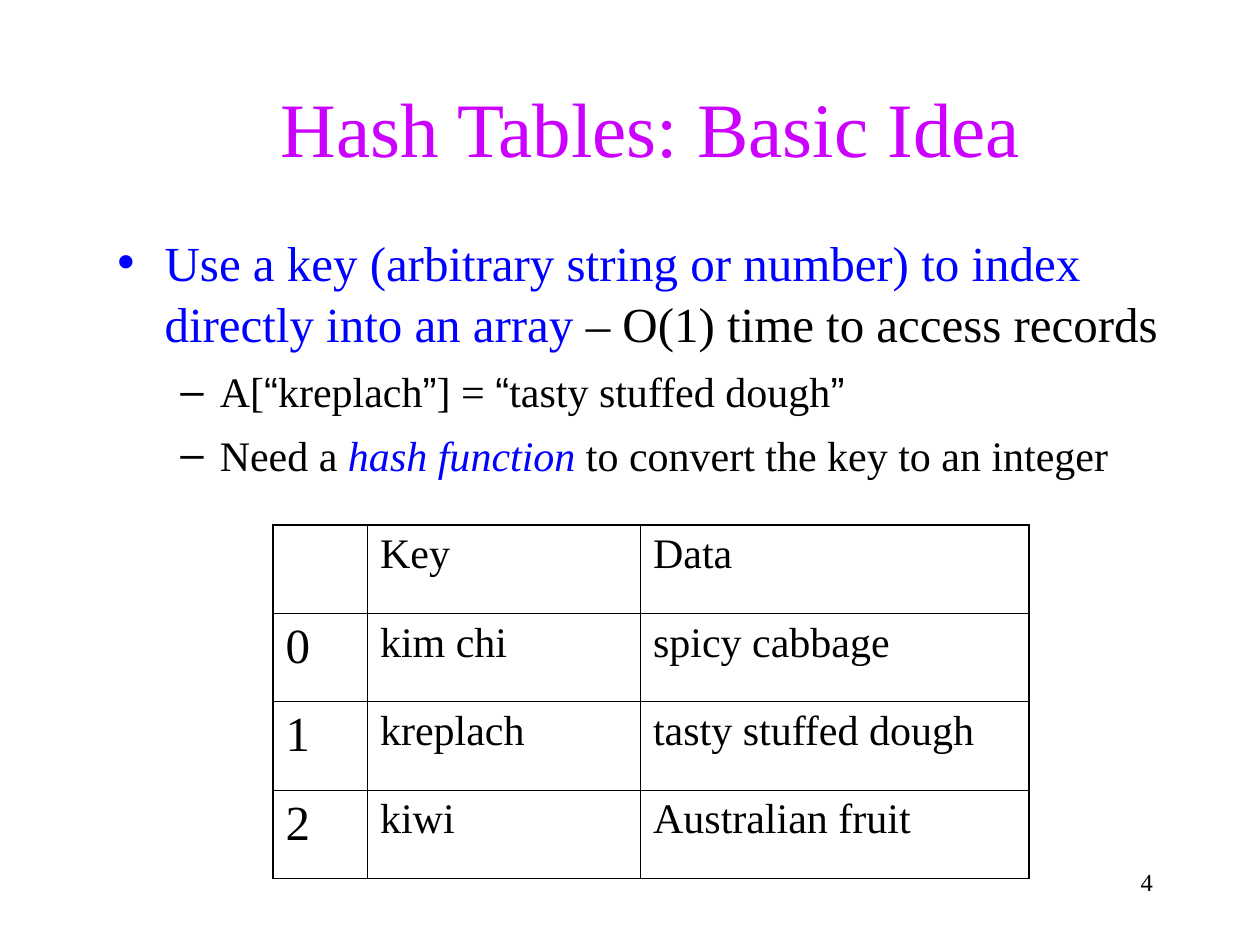
from lxml import etree
from pptx import Presentation
from pptx.dml.color import RGBColor
from pptx.enum.text import MSO_ANCHOR, MSO_AUTO_SIZE, PP_ALIGN
from pptx.oxml.ns import qn
from pptx.util import Pt

LEFT, CENTER, RIGHT = PP_ALIGN.LEFT, PP_ALIGN.CENTER, PP_ALIGN.RIGHT
TOP, MIDDLE = MSO_ANCHOR.TOP, MSO_ANCHOR.MIDDLE
FIXED = MSO_AUTO_SIZE.NONE

BLACK = RGBColor(0, 0, 0)
BLUE = RGBColor(0, 0, 255)
PURPLE = RGBColor(0xCC, 0, 0xFF)
SERIF, SANS = "Times New Roman", "Arial"

TITLE = "Hash Tables: Basic Idea"
PAGE = "4"
OPEN, CLOSE = ("“", {"face": SANS}), ("”", {"face": SANS})
POINTS = [
    (0, [("Use a key (arbitrary string or number) to index directly into an array",
          {"color": BLUE}),
         " – O(1) time to access records"]),
    (1, ["A[", OPEN, "kreplach", CLOSE, "] = ",
         OPEN, "tasty stuffed dough", CLOSE]),
    (1, ["Need a ", ("hash function", {"color": BLUE, "slant": True}),
         " to convert the key to an integer"]),
]
LEVELS = [
    {"size": 28, "bullet": ("•", BLUE), "indent": 27, "hang": 27},
    {"size": 24, "bullet": ("–", BLACK), "indent": 58.5, "hang": 22.5, "before": 6},
]
ROWS = [
    ["", "Key", "Data"],
    ["0", "kim chi", "spicy cabbage"],
    ["1", "kreplach", "tasty stuffed dough"],
    ["2", "kiwi", "Australian fruit"],
]
COLS = [54, 156, 222]
ROW = 50.5
THICK, THIN = 1.08, 0.45


def write(para, parts, size=24, color=BLACK, face=SERIF, slant=None,
          align=LEFT, before=0, spacing=None, bullet=None, indent=0, hang=0):
    para.alignment = align
    para.space_before = Pt(before)
    if spacing:
        para.line_spacing = spacing
    if bullet:
        mark, tint = bullet
        props = para._p.get_or_add_pPr()
        props.set("marL", str(Pt(indent)))
        props.set("indent", str(-Pt(hang)))
        fill = etree.SubElement(props, qn("a:buClr"))
        etree.SubElement(fill, qn("a:srgbClr"), val=str(tint))
        etree.SubElement(props, qn("a:buFont"), typeface=SANS)
        etree.SubElement(props, qn("a:buChar"), char=mark)
    for part in [parts] if isinstance(parts, str) else parts:
        words, own = (part, {}) if isinstance(part, str) else part
        look = {"color": color, "face": face, "slant": slant, **own}
        run = para.add_run()
        run.text = words
        run.font.size = Pt(size)
        run.font.name = look["face"]
        run.font.color.rgb = look["color"]
        run.font.italic = look["slant"]


def place(shape, left, top, width, height, anchor=TOP, inset=3.6):
    shape.left, shape.top = Pt(left), Pt(top)
    shape.width, shape.height = Pt(width), Pt(height)
    frame = shape.text_frame
    frame.word_wrap = True
    frame.auto_size = FIXED
    frame.vertical_anchor = anchor
    frame.margin_top = Pt(inset)
    return frame


def border(cell, row, col):
    outer = {"L": col == 0, "R": col == len(COLS) - 1,
             "T": row == 0, "B": row == len(ROWS) - 1}
    props = cell._tc.get_or_add_tcPr()
    for side, edge in outer.items():
        line = etree.SubElement(props, qn("a:ln" + side),
                                w=str(Pt(THICK if edge else THIN)))
        fill = etree.SubElement(line, qn("a:solidFill"))
        etree.SubElement(fill, qn("a:srgbClr"), val=str(BLACK))


def main():
    deck = Presentation()
    deck.slide_width, deck.slide_height = Pt(720), Pt(540)
    slide = deck.slides.add_slide(deck.slide_layouts[5])
    shapes = slide.shapes

    frame = place(shapes.title, 66, 24, 612, 90, anchor=MIDDLE, inset=10.8)
    write(frame.paragraphs[0], TITLE, size=44, color=PURPLE, align=CENTER)

    frame = place(shapes.add_textbox(0, 0, 0, 0), 60, 126, 612, 324, inset=5)
    for i, (level, parts) in enumerate(POINTS):
        para = frame.add_paragraph() if i else frame.paragraphs[0]
        para.level = level
        write(para, parts, spacing=1.05, **LEVELS[level])

    grid = shapes.add_table(len(ROWS), len(COLS), Pt(156), Pt(300),
                            Pt(sum(COLS)), Pt(ROW * len(ROWS))).table
    grid.first_row = grid.horz_banding = False
    for col, width in zip(grid.columns, COLS):
        col.width = Pt(width)
    for r, row in enumerate(ROWS):
        for c, words in enumerate(row):
            cell = grid.cell(r, c)
            border(cell, r, c)
            cell.fill.background()
            if words:
                write(cell.text_frame.paragraphs[0], words, size=24 if c else 28)

    frame = place(shapes.add_textbox(0, 0, 0, 0), 516, 492, 150, 36)
    write(frame.paragraphs[0], PAGE, size=14, align=RIGHT)

    deck.save("out.pptx")


if __name__ == "__main__":
    main()
